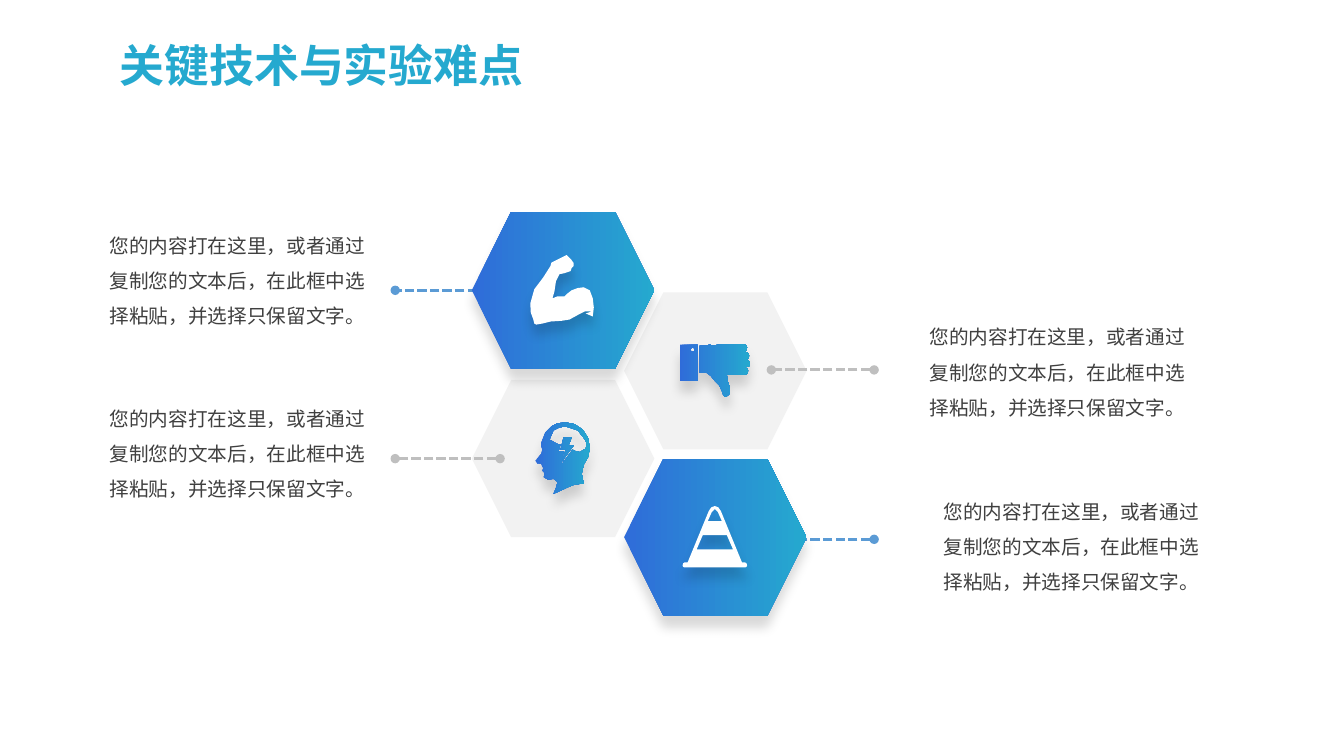
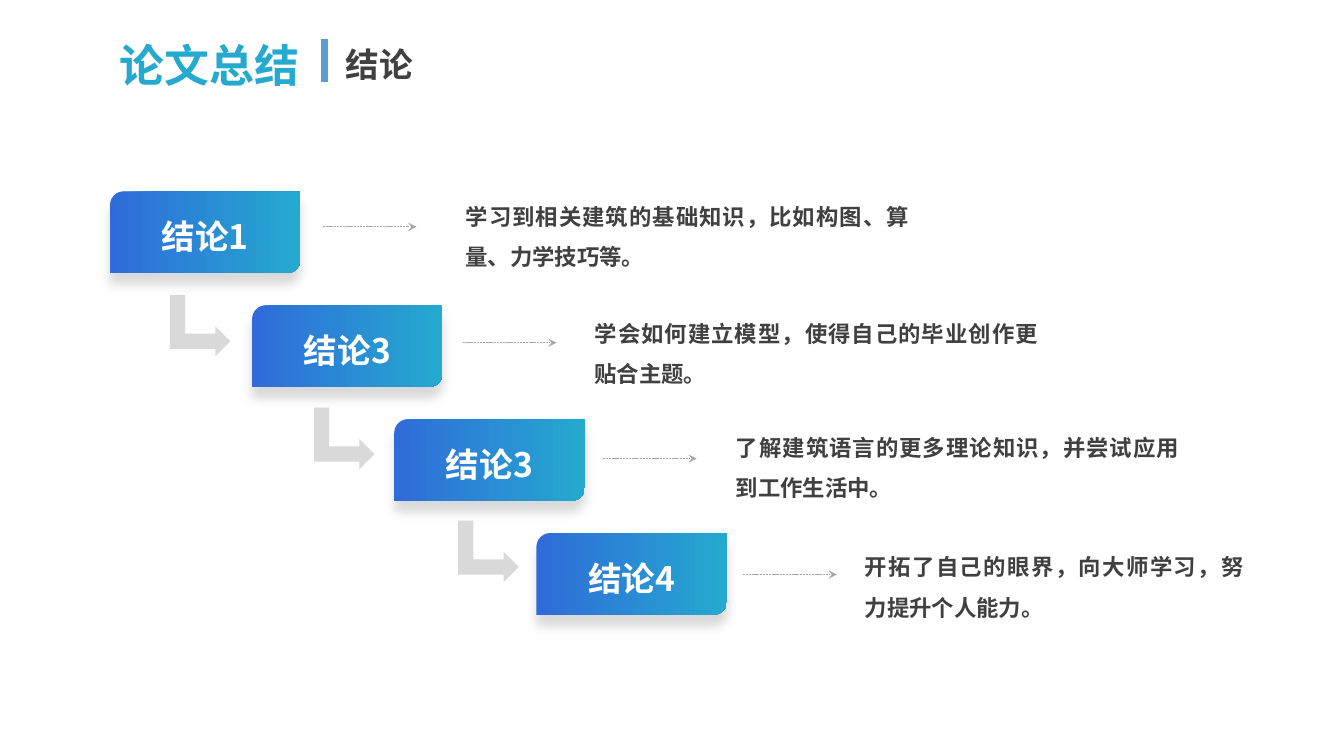
from lxml.etree import SubElement
from pptx import Presentation
from pptx.dml.color import RGBColor
from pptx.enum.dml import MSO_LINE
from pptx.enum.shapes import MSO_CONNECTOR, MSO_SHAPE
from pptx.enum.text import MSO_ANCHOR, MSO_AUTO_SIZE, PP_ALIGN
from pptx.oxml.ns import qn
from pptx.util import Inches, Pt

# Shared look
CJK = "Noto Sans CJK SC"
TEAL, BLUE, WHITE, INK = "25A9CF", "5B9BD5", "FFFFFF", "404040"
PALE, STEP_GREY, LINK_GREY, POINTER_GREY = "F2F2F2", "D9D9D9", "BFBFBF", "A6A6A6"
GRADIENT = ("2F6CD9", TEAL)
TITLE = {"size": 32, "bold": True, "color": TEAL}
SUBTITLE = {"size": 24, "bold": True, "color": INK}
CALLOUT = {"size": 14, "color": INK, "line_spacing": 1.5}
CONCLUSION = {"size": 16, "bold": True, "color": INK, "font": "Arial",
              "line_spacing": 1.5, "alignment": PP_ALIGN.JUSTIFY}
STEP = {"size": 24, "bold": True, "color": WHITE,
        "line_spacing": 1.2, "alignment": PP_ALIGN.CENTER}

# Slide 1 content: icon outlines in hundredths of an inch
HEAD = [
    [(48, 42), (52.5, 34), (54, 25), (52.1, 15.2), (46.9, 7.2), (39.2, 1.9), (30, 0),
     (22, 1), (16, 4), (10, 10), (6, 20), (6, 24), (7, 27), (6, 31), (0, 38), (2, 41),
     (6, 41), (7, 44), (8, 45), (7, 48), (9, 50), (8.5, 54.5), (13, 57), (18, 56),
     (22, 59), (21, 64), (18, 71), (33, 64), (40, 61.3), (48, 61), (46, 51)],
    [(38, 28), (37, 27), (26, 42), (28, 29), (23, 29), (25, 22), (23, 22), (14.1, 17.2),
     (18, 8), (24, 5), (30, 4), (42.2, 8), (50, 18), (51, 22), (50, 26), (44, 29.6)],
    [(33, 23), (38, 23), (27, 38), (30, 27), (25, 27), (28, 15), (36, 15)],
]
THUMB = [
    [(70, 20), (69, 22.5), (66, 23), (64, 23), (67, 24.5), (68, 27), (67, 30), (63, 31),
     (47, 31), (47.5, 36.5), (50, 44), (49.5, 50), (46, 53), (43.5, 51.5), (42, 47),
     (39.5, 41.5), (35, 37), (31, 32), (27, 29), (20, 29), (20, 2), (25, 2), (30, 1),
     (33, 2), (44, 0), (62, 0), (66, 1.5), (67, 4), (66, 7), (63, 8), (65, 8),
     (68, 9.5), (69, 12), (68, 15), (66, 16), (69, 17.3)],
    [(0, 1), (18, 1), (18, 37), (0, 37)],
    [(13, 8), (14.4, 7.4), (15, 6), (14.4, 4.6), (13, 4), (11.6, 4.6), (11, 6), (11.6, 7.4)],
]
ARM = [
    [(63, 43), (60, 35), (54, 32), (48, 32.8), (42, 35), (37.5, 38.5), (35, 41), (28, 41),
     (23, 43), (25, 36), (26.5, 26), (30, 19), (35, 18), (41, 16), (42, 13), (44, 11),
     (44, 8), (42, 5), (37, 0), (27, 5), (22, 7.5), (21, 11), (14, 22), (5, 34), (1, 48),
     (1.5, 57), (4, 64), (5, 68), (7, 69), (13, 68), (21, 66), (32, 65.3), (40, 64),
     (49, 59), (55, 56), (62, 56), (56, 58), (63, 61), (64, 52)],
]
CONE = [
    [(62, 56), (59, 56), (38, 5), (35.5, 1.3), (32, 0), (28.5, 1.3), (26, 5), (5, 56),
     (2, 56), (0.6, 56.8), (0, 59), (0.6, 60.4), (2, 61), (62, 61), (63.4, 60.4),
     (64, 59), (63.4, 56.8)],
    [(29, 6), (32, 3), (35, 6), (39, 15), (25, 15)],
    [(14, 43), (20, 29), (44, 29), (50, 43)],
]
HEX_SIZE = (1.81, 1.56)
HEX_LEFT = (4.68, 6.19)
# column, top, icon, icon corner, highlighted
PALE_CELLS = [(0, 3.77, HEAD, (5.31, 4.19), False), (1, 2.9, THUMB, (6.74, 3.41), False)]
BLUE_CELLS = [(0, 2.1, ARM, (5.25, 2.53), True), (1, 4.55, CONE, (6.77, 5.02), True)]
# from x, to x, y, colour
LINKS = [(5.02, 3.92, 2.88, BLUE), (4.96, 3.92, 4.55, LINK_GREY),
         (8.67, 7.65, 3.67, LINK_GREY), (8.67, 7.65, 5.35, BLUE)]
CALLOUT_TEXT = "您的内容打在这里，或者通过复制您的文本后，在此框中选择粘贴，并选择只保留文字。"
CALLOUTS = [(9.12, 3.06, PP_ALIGN.LEFT), (9.26, 4.79, PP_ALIGN.LEFT),
            (0.8, 2.15, PP_ALIGN.RIGHT), (0.8, 3.87, PP_ALIGN.RIGHT)]

# Slide 2 content: label, text, text box
CONCLUSIONS = [
    ("结论1", "学习到相关建筑的基础知识，比如构图、算量、力学技巧等。", (4.52, 1.83, 4.6, 0.86)),
    ("结论3", "学会如何建立模型，使得自己的毕业创作更贴合主题。", (5.8, 2.99, 4.6, 0.86)),
    ("结论3", "了解建筑语言的更多理论知识，并尝试应用到工作生活中。", (7.2, 4.12, 4.6, 0.86)),
    ("结论4", "开拓了自己的眼界，向大师学习，努力提升个人能力。", (8.48, 5.31, 3.96, 0.86)),
]


def rgb(value):
    return RGBColor.from_string(value)


def inches(values):
    return [Inches(v) for v in values]


def paint(shape, fill, shadow=False):
    """Fill with one colour or a left-to-right gradient; no outline."""
    if isinstance(fill, tuple):
        shape.fill.gradient()
        shape.fill.gradient_angle = 0
        for stop, color, position in zip(shape.fill.gradient_stops, fill, (0, 1)):
            stop.color.rgb = rgb(color)
            stop.position = position
    else:
        shape.fill.solid()
        shape.fill.fore_color.rgb = rgb(fill)
    shape.line.fill.background()
    shape.shadow.inherit = False
    if shadow:
        effects = shape._element.spPr.find(qn("a:effectLst"))
        outer = SubElement(effects, qn("a:outerShdw"), blurRad=str(Pt(8)), dist=str(Pt(8)),
                           dir="5400000", algn="t", rotWithShape="0")
        black = SubElement(outer, qn("a:srgbClr"), val="000000")
        SubElement(black, qn("a:alpha"), val="15000")


def write(frame, text, style):
    paragraph = frame.paragraphs[0]
    run = paragraph.add_run()
    run.text = text
    font_values = {"size": Pt(style["size"]), "bold": style.get("bold", False),
                   "name": style.get("font", CJK)}
    for key, value in font_values.items():
        setattr(run.font, key, value)
    run.font.color.rgb = rgb(style["color"])
    SubElement(run.font._element, qn("a:ea"), typeface=CJK)
    for key in ("alignment", "line_spacing"):
        if key in style:
            setattr(paragraph, key, style[key])


def add_text(slide, box, text, style, wrap=True):
    frame = slide.shapes.add_textbox(*inches(box)).text_frame
    frame.word_wrap = wrap
    frame.auto_size = MSO_AUTO_SIZE.SHAPE_TO_FIT_TEXT
    write(frame, text, style)


def add_preset(slide, preset, box, fill, shadow=False):
    shape = slide.shapes.add_shape(preset, *inches(box))
    paint(shape, fill, shadow)
    return shape


def add_line(slide, start, end, color, width, dashed=True, head=None, tail=None):
    link = slide.shapes.add_connector(MSO_CONNECTOR.STRAIGHT, *inches(start + end))
    link.line.width = Pt(width)
    link.line.color.rgb = rgb(color)
    if dashed:
        link.line.dash_style = MSO_LINE.SQUARE_DOT
    outline = link.line._get_or_add_ln()
    for tag, kind in (("a:headEnd", head), ("a:tailEnd", tail)):
        if kind:
            SubElement(outline, qn(tag), type=kind)
    SubElement(link._element.spPr, qn("a:effectLst"))


def add_icon(slide, contours, corner, fill):
    # Ten drawing units per hundredth of an inch
    scaled = [[(round(x * 10), round(y * 10)) for x, y in points] for points in contours]
    builder = slide.shapes.build_freeform(*scaled[0][0], scale=914.4)
    for number, points in enumerate(scaled):
        if number:
            builder.move_to(*points[0])
        builder.add_line_segments(points[1:], close=True)
    paint(builder.convert_to_shape(*inches(corner)), fill, shadow=True)


def add_cells(slide, cells):
    for column, top, icon, corner, highlighted in cells:
        add_preset(slide, MSO_SHAPE.HEXAGON, (HEX_LEFT[column], top, *HEX_SIZE),
                   GRADIENT if highlighted else PALE, highlighted)
        add_icon(slide, icon, corner, WHITE if highlighted else GRADIENT)


def new_slide(deck, title, width):
    slide = deck.slides.add_slide(deck.slide_layouts[6])
    add_text(slide, (1.09, 0.33, width, 0.64), title, TITLE, wrap=False)
    return slide


def build_difficulties(deck):
    slide = new_slide(deck, "关键技术与实验难点", 4.35)
    add_cells(slide, PALE_CELLS)
    for start, end, y, color in LINKS:
        add_line(slide, (start, y), (end, y), color, 2.25, head="oval", tail="oval")
    add_cells(slide, BLUE_CELLS)
    for left, top, alignment in CALLOUTS:
        add_text(slide, (left, top, 2.92, 1.12), CALLOUT_TEXT,
                 {**CALLOUT, "alignment": alignment})


def build_conclusions(deck):
    slide = new_slide(deck, "论文总结", 2.05)
    add_line(slide, (3.22, 0.81), (3.22, 0.39), BLUE, 4.5, dashed=False)
    add_text(slide, (3.33, 0.39, 0.89, 0.5), "结论", SUBTITLE, wrap=False)
    for i, (label, text, box) in enumerate(CONCLUSIONS):
        step = add_preset(slide, MSO_SHAPE.ROUND_2_DIAG_RECTANGLE,
                          (1.09 + 1.41 * i, 1.9 + 1.13 * i, 1.89, 0.81), GRADIENT, True)
        frame = step.text_frame
        for side in ("left", "top", "right", "bottom"):
            setattr(frame, f"margin_{side}", 0)
        frame.vertical_anchor = MSO_ANCHOR.MIDDLE
        write(frame, label, STEP)

        # Pointer from the step to its text
        x, y = 3.2 + 1.39 * i, 2.25 + 1.15 * i
        add_line(slide, (x, y), (x + 0.93, y), POINTER_GREY, 0.5, tail="stealth")
        add_text(slide, box, text, CONCLUSION)

        # Bent arrow down to the next step
        if i < len(CONCLUSIONS) - 1:
            bend = add_preset(slide, MSO_SHAPE.BENT_UP_ARROW,
                              (1.68 + 1.43 * i, 2.93 + 1.12 * i, 0.61, 0.6), STEP_GREY)
            bend.rotation = 90


def main():
    deck = Presentation()
    deck.slide_width, deck.slide_height = Inches(13.33), Inches(7.5)
    build_difficulties(deck)
    build_conclusions(deck)
    deck.save("out.pptx")


if __name__ == "__main__":
    main()
